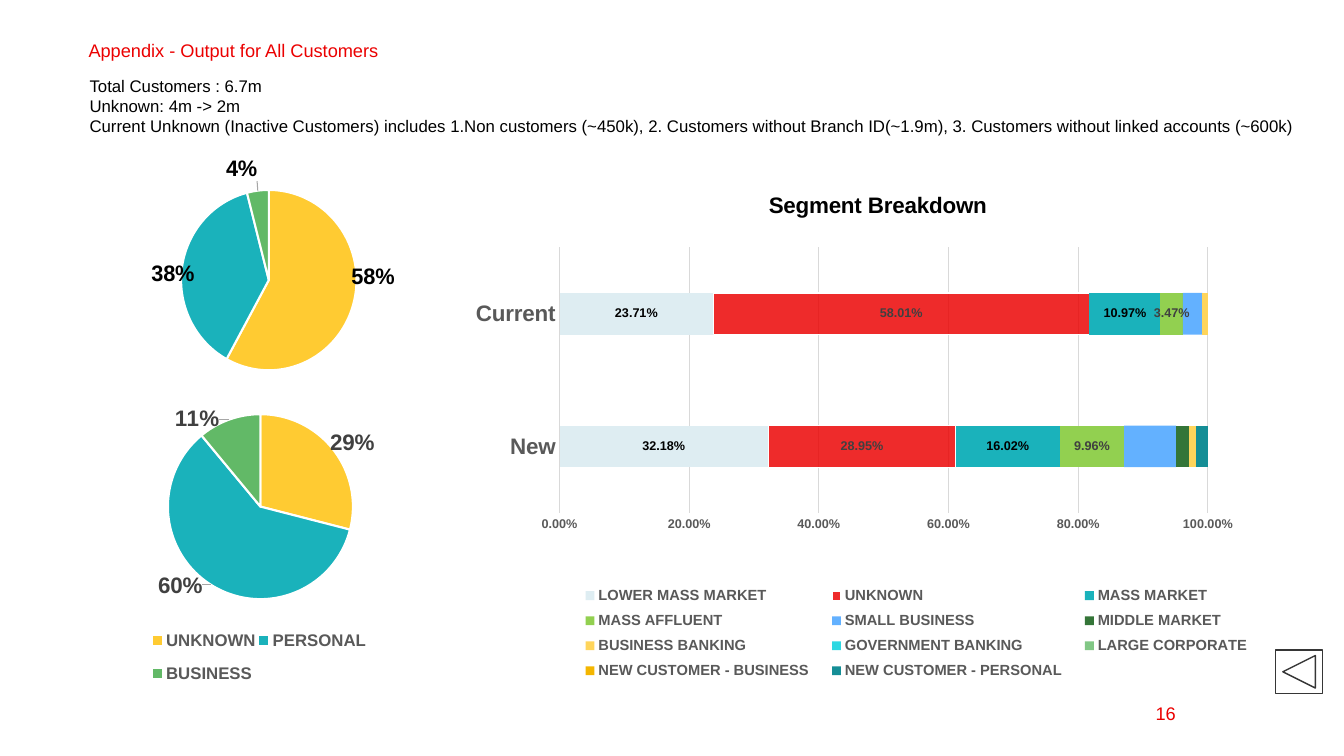
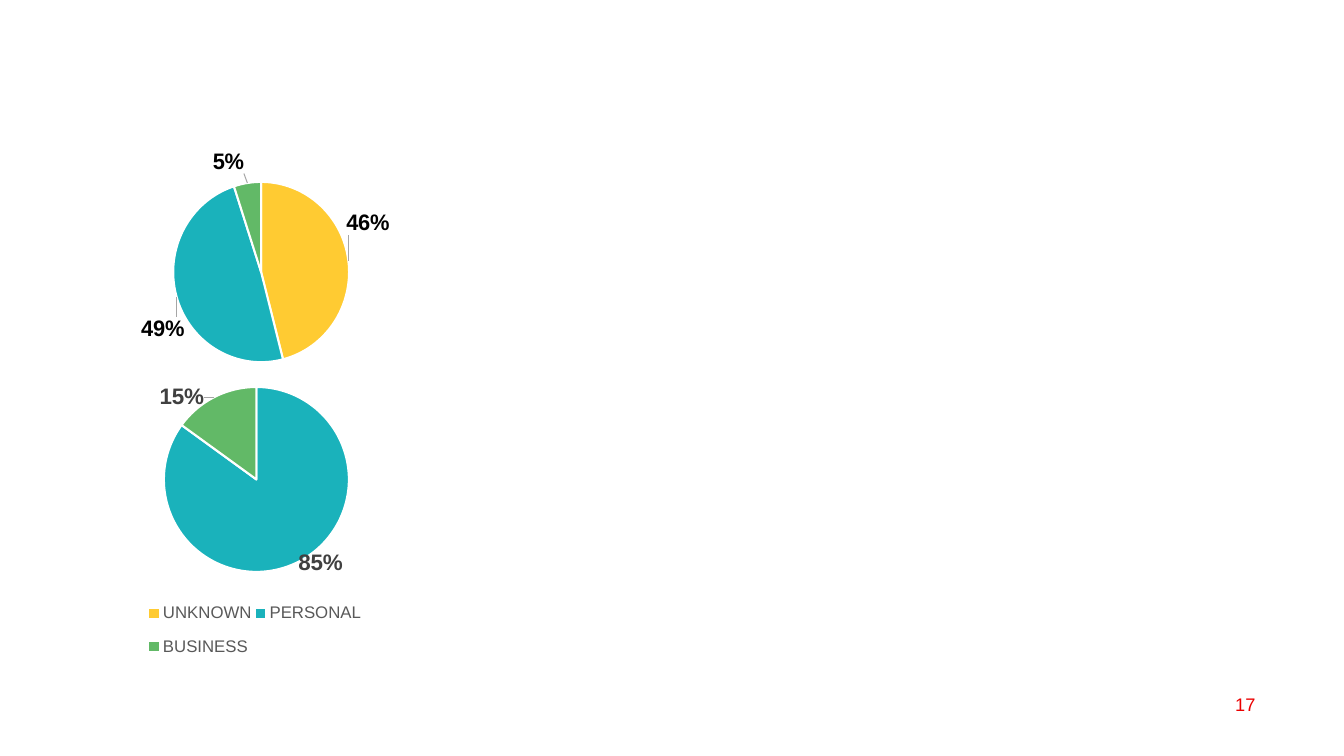
"""Build two customer-segment appendix slides with pie and stacked bar charts."""
from dataclasses import dataclass
from typing import Any, Optional

import lxml.etree
import pptx
import pptx.chart.data
import pptx.dml.color
import pptx.enum.chart
import pptx.enum.shapes
import pptx.enum.text
import pptx.oxml
import pptx.oxml.ns
import pptx.util

Inches = pptx.util.Inches
Pt = pptx.util.Pt
RGB = pptx.dml.color.RGBColor
qn = pptx.oxml.ns.qn
xl = pptx.enum.chart

FONT = "Arial"
RED = RGB(0xEB, 0x00, 0x00)
BLACK = RGB(0x00, 0x00, 0x00)
WHITE = RGB(0xFF, 0xFF, 0xFF)
DARK = RGB(0x40, 0x40, 0x40)
GREY = RGB(0x59, 0x59, 0x59)
LEADER = RGB(0xA6, 0xA6, 0xA6)
GRID = RGB(0xD9, 0xD9, 0xD9)
OUTLINE = RGB(0x36, 0x36, 0x36)
YELLOW = RGB(0xFF, 0xCB, 0x32)
TEAL = RGB(0x1A, 0xB2, 0xBB)
GREEN = RGB(0x62, 0xB9, 0x67)
PIE_COLORS = (YELLOW, TEAL, GREEN)
SEGMENTS = ("UNKNOWN", "PERSONAL", "BUSINESS")

Box = tuple[float, float, float, float]
Offset = tuple[float, float]


@dataclass(frozen=True)
class Pie:
    box: Box
    plot: Box
    cats: tuple[str, ...]
    values: tuple[float, ...]
    offsets: tuple[Optional[Offset], ...]
    percent: bool
    label_color: RGB
    legend: bool = False
    legend_bold: bool = False


@dataclass(frozen=True)
class Segment:
    name: str
    new: float
    current: float
    color: RGB
    label_color: Optional[RGB] = None
    alpha: int = 100
    outlined: bool = False


UPPER_PLOT = (0.16, 0.15, 0.67, 0.75)
LOWER_PLOT = (0.13, 0.15, 0.69, 0.75)
PIES = (
    (
        Pie((1.32, 0.9, 2.67, 3.58), UPPER_PLOT, ("1", "2", "3"), (58, 38, 4),
            ((-0.03, -0.11), (0.07, 0.05), (0, -0.01)), True, BLACK),
        Pie((1.32, 2.88, 2.66, 4.09), LOWER_PLOT, SEGMENTS, (0.29, 0.6, 0.11),
            ((-0.03, 0.02), (-0.02, -0.04), (-0.03, 0.04)), False, DARK, True, True),
    ),
    (
        Pie((1.27, 0.82, 2.67, 3.58), UPPER_PLOT, ("1", "2", "3"), (46, 49, 5),
            ((-0.03, -0.07), (0.05, 0.05), (-0.01, -0.01)), True, BLACK),
        Pie((1.28, 2.61, 2.66, 4.09), LOWER_PLOT, SEGMENTS, (0, 0.85, 0.15),
            (None, (-0.01, -0.04), (-0.03, 0.04)), False, DARK, True),
    ),
)
BREAKDOWN = (
    Segment("LOWER MASS MARKET", 0.3218, 0.2371, RGB(0xDE, 0xED, 0xF2), BLACK),
    Segment("UNKNOWN", 0.2895, 0.5801, RED, DARK, 83, True),
    Segment("MASS MARKET", 0.1602, 0.1097, TEAL, BLACK),
    Segment("MASS AFFLUENT", 0.0996, 0.0347, RGB(0x92, 0xD0, 0x50), DARK),
    Segment("SMALL BUSINESS", 0.08, 0.03, RGB(0x33, 0x99, 0xFF), alpha=76),
    Segment("MIDDLE MARKET", 0.02, 0, RGB(0x34, 0x75, 0x38)),
    Segment("BUSINESS BANKING", 0.01, 0.01, RGB(0xFF, 0xD5, 0x5B)),
    Segment("GOVERNMENT BANKING", 0, 0, RGB(0x2E, 0xD8, 0xE2)),
    Segment("LARGE CORPORATE", 0, 0, RGB(0x81, 0xC7, 0x85)),
    Segment("NEW CUSTOMER - BUSINESS", 0, 0, RGB(0xF4, 0xB6, 0x00)),
    Segment("NEW CUSTOMER - PERSONAL", 0.02, 0, RGB(0x15, 0x8E, 0x96)),
)
SUMMARY = (
    "Total Customers : 6.7m",
    "Unknown: 4m -> 2m",
    "Current Unknown (Inactive Customers) includes 1.Non customers (~450k), "
    "2. Customers without Branch ID(~1.9m), 3. Customers without linked accounts (~600k)",
)


def set_attrs(obj: Any, fmt: dict[str, Any]) -> None:
    for name, value in fmt.items():
        setattr(obj, name, value)


def set_font(font: Any, size: float, color: RGB, bold: bool = False) -> None:
    set_attrs(font, {"name": FONT, "size": Pt(size), "bold": bold})
    font.color.rgb = color


def set_line(line: Any, color: RGB, width: float) -> None:
    line.color.rgb = color
    line.width = Pt(width)


def inches(box: Box) -> list[int]:
    return [Inches(v) for v in box]


def set_layout(parent: Any, after: Optional[str], values: dict[str, Any]) -> None:
    for old in parent.findall(qn("c:layout")):
        parent.remove(old)
    layout = lxml.etree.Element(qn("c:layout"))
    manual = lxml.etree.SubElement(layout, qn("c:manualLayout"))
    for tag, value in values.items():
        lxml.etree.SubElement(manual, qn(f"c:{tag}")).set("val", str(value))
    if after:
        parent.find(qn(after)).addnext(layout)
    else:
        parent.insert(0, layout)


def frame(box: Box) -> dict[str, Any]:
    return {"xMode": "edge", "yMode": "edge", **dict(zip("xywh", box))}


def add_text(tf: Any, lines: tuple[str, ...], size: float, color: RGB, **fmt: Any) -> None:
    tf.word_wrap = True
    for i, line in enumerate(lines):
        p = tf.paragraphs[0] if i == 0 else tf.add_paragraph()
        set_attrs(p, fmt)
        r = p.add_run()
        r.text = line
        set_font(r.font, size, color)


def add_page_number(s: Any, number: str, left: float, top: float) -> None:
    tf = s.shapes.add_textbox(*inches((left, top, 3, 0.4))).text_frame
    tf.vertical_anchor = pptx.enum.text.MSO_ANCHOR.MIDDLE
    add_text(tf, (number,), 13, RED, alignment=pptx.enum.text.PP_ALIGN.RIGHT)


def add_chart(s: Any, kind: Any, box: Box, plot: Box, data: Any) -> Any:
    chart = s.shapes.add_chart(kind, *inches(box), data).chart
    set_attrs(chart, {"has_title": False, "has_legend": False})
    set_font(chart.font, 10, BLACK)
    space = chart.element
    sp_pr = lxml.etree.Element(qn("c:spPr"))
    lxml.etree.SubElement(sp_pr, qn("a:noFill"))
    line = lxml.etree.SubElement(sp_pr, qn("a:ln"))
    lxml.etree.SubElement(line, qn("a:noFill"))
    space.find(qn("c:chart")).addnext(sp_pr)
    area = space.find(".//" + qn("c:plotArea"))
    set_layout(area, None, {"layoutTarget": "inner", **frame(plot)})
    return chart


def add_legend(chart: Any, position: Any, box: Box, size: float, bold: bool) -> None:
    chart.has_legend = True
    set_attrs(chart.legend, {"position": position, "include_in_layout": False})
    set_font(chart.legend.font, size, GREY, bold)
    set_layout(chart.element.find(".//" + qn("c:legend")), "c:legendPos", frame(box))


def label_slice(point: Any, index: int, series: Any, pie: Pie) -> None:
    set_font(point.data_label.font, 16, pie.label_color, True)
    point.data_label.position = xl.XL_LABEL_POSITION.OUTSIDE_END
    label = series.data_labels._element.findall(qn("c:dLbl"))[index]
    offset = pie.offsets[index]
    if offset is None:
        for child in list(label)[1:]:
            label.remove(child)
        lxml.etree.SubElement(label, qn("c:delete")).set("val", "1")
        return
    label.find(".//" + qn("a:bodyPr")).set("wrap", "none")
    num = lxml.etree.Element(qn("c:numFmt"), formatCode="0%", sourceLinked="0")
    label.find(qn("c:idx")).addnext(num)
    set_layout(label, "c:idx", dict(zip("xy", offset)))
    label.find(qn("c:showVal")).set("val", str(int(not pie.percent)))
    label.find(qn("c:showPercent")).set("val", str(int(pie.percent)))


def style_leader_lines(labels: Any) -> None:
    leader = lxml.etree.Element(qn("c:leaderLines"))
    sp_pr = lxml.etree.SubElement(leader, qn("c:spPr"))
    line = lxml.etree.SubElement(sp_pr, qn("a:ln"), w=str(Pt(0.75)))
    fill = lxml.etree.SubElement(line, qn("a:solidFill"))
    lxml.etree.SubElement(fill, qn("a:srgbClr"), val=str(LEADER))
    show = labels._element.find(qn("c:showLeaderLines"))
    show.set("val", "1")
    show.addnext(leader)


def add_pie(s: Any, pie: Pie) -> None:
    data = pptx.chart.data.CategoryChartData(number_format="General" if pie.percent else "0%")
    data.categories = pie.cats
    data.add_series("Series 1", pie.values)
    chart = add_chart(s, xl.XL_CHART_TYPE.PIE, pie.box, pie.plot, data)
    chart.plots[0].vary_by_categories = True
    series = chart.plots[0].series[0]
    labels = series.data_labels
    set_attrs(labels, {"show_percentage": pie.percent, "show_value": not pie.percent,
                       "number_format": "0%", "number_format_is_linked": False,
                       "position": xl.XL_LABEL_POSITION.OUTSIDE_END})
    set_font(labels.font, 16, pie.label_color, True)
    style_leader_lines(labels)
    for i, color in enumerate(PIE_COLORS):
        point = series.points[i]
        point.format.fill.solid()
        point.format.fill.fore_color.rgb = color
        set_line(point.format.line, WHITE, 1.5)
        label_slice(point, i, series, pie)
    if pie.legend:
        add_legend(chart, xl.XL_LEGEND_POSITION.RIGHT, (0.06, 0.79, 0.82, 0.2), 12,
                   pie.legend_bold)


def style_segment(series: Any, seg: Segment) -> None:
    series.invert_if_negative = False
    fill = series.format.fill
    fill.solid()
    fill.fore_color.rgb = seg.color
    if seg.alpha < 100:
        color = series._element.find(qn("c:spPr")).find(".//" + qn("a:srgbClr"))
        lxml.etree.SubElement(color, qn("a:alpha")).set("val", str(seg.alpha * 1000))
    if seg.outlined:
        set_line(series.format.line, WHITE, 0.75)
    if seg.label_color is not None:
        set_attrs(series.data_labels, {"show_value": True, "number_format": "0.00%",
                                       "number_format_is_linked": False,
                                       "position": xl.XL_LABEL_POSITION.CENTER})
        set_font(series.data_labels.font, 9, seg.label_color, True)


def add_breakdown(s: Any) -> None:
    data = pptx.chart.data.CategoryChartData(number_format="0.00%")
    data.categories = ("New", "Current")
    for seg in BREAKDOWN:
        data.add_series(seg.name, (seg.new, seg.current))
    chart = add_chart(s, xl.XL_CHART_TYPE.BAR_STACKED, (4.41, 1.2, 8.14, 5.98),
                      (0.14, 0.21, 0.79, 0.44), data)
    set_attrs(chart.plots[0], {"gap_width": 219, "overlap": 100, "vary_by_categories": False})
    for series, seg in zip(chart.plots[0].series, BREAKDOWN):
        style_segment(series, seg)
    cat, val = chart.category_axis, chart.value_axis
    for axis, size in ((cat, 16), (val, 9)):
        set_attrs(axis, {"major_tick_mark": xl.XL_TICK_MARK.NONE,
                         "minor_tick_mark": xl.XL_TICK_MARK.NONE})
        set_font(axis.tick_labels.font, size, GREY, True)
    set_line(cat.format.line, GRID, 0.75)
    set_attrs(val, {"minimum_scale": 0, "maximum_scale": 1, "major_unit": 0.2,
                    "has_major_gridlines": True})
    set_attrs(val.tick_labels, {"number_format": "0.00%", "number_format_is_linked": False})
    set_line(val.major_gridlines.format.line, GRID, 0.75)
    val.format.line.fill.background()
    chart.has_title = True
    tf = chart.chart_title.text_frame
    tf.text = "Segment Breakdown"
    set_font(tf.paragraphs[0].runs[0].font, 16, BLACK, True)
    set_layout(chart.element.find(".//" + qn("c:title")), "c:tx",
               {"xMode": "edge", "yMode": "edge", "x": 0.39, "y": 0.11})
    add_legend(chart, xl.XL_LEGEND_POSITION.BOTTOM, (0.15, 0.76, 0.85, 0.18), 10.5, True)


def add_summary(s: Any) -> None:
    sp = s.shapes.add_shape(pptx.enum.shapes.MSO_SHAPE.RECTANGLE, *inches((0.79, 0.7, 12.2, 0.71)))
    sp.shadow.inherit = False
    sp.fill.solid()
    sp.fill.fore_color.rgb = WHITE
    sp.line.fill.background()
    set_attrs(sp.text_frame, {"vertical_anchor": pptx.enum.text.MSO_ANCHOR.TOP, "margin_right": 0})
    add_text(sp.text_frame, SUMMARY, 12, BLACK, alignment=pptx.enum.text.PP_ALIGN.LEFT)


def add_back_button(s: Any) -> None:
    kind = pptx.enum.shapes.MSO_SHAPE.ACTION_BUTTON_BACK_OR_PREVIOUS
    sp = s.shapes.add_shape(kind, *inches((12.65, 6.45, 0.47, 0.43)))
    sp.shadow.inherit = False
    sp.fill.background()
    set_line(sp.line, OUTLINE, 1)


def main() -> None:
    prs = pptx.Presentation()
    set_attrs(prs, {"slide_width": Inches(13.33), "slide_height": Inches(7.5)})
    first, second = (prs.slides.add_slide(prs.slide_layouts[6]) for _ in PIES)
    title = first.shapes.add_textbox(*inches((0.78, 0.37, 11.77, 0.33)))
    add_text(title.text_frame, ("Appendix - Output for All Customers",), 13, RED, line_spacing=0.9)
    add_page_number(first, "16", 8.76, 6.88)
    add_page_number(second, "17", 9.55, 6.79)
    add_breakdown(first)
    for s, pies in zip((first, second), PIES):
        for pie in pies:
            add_pie(s, pie)
    add_summary(first)
    add_back_button(first)
    prs.save("out.pptx")


if __name__ == "__main__":
    main()
